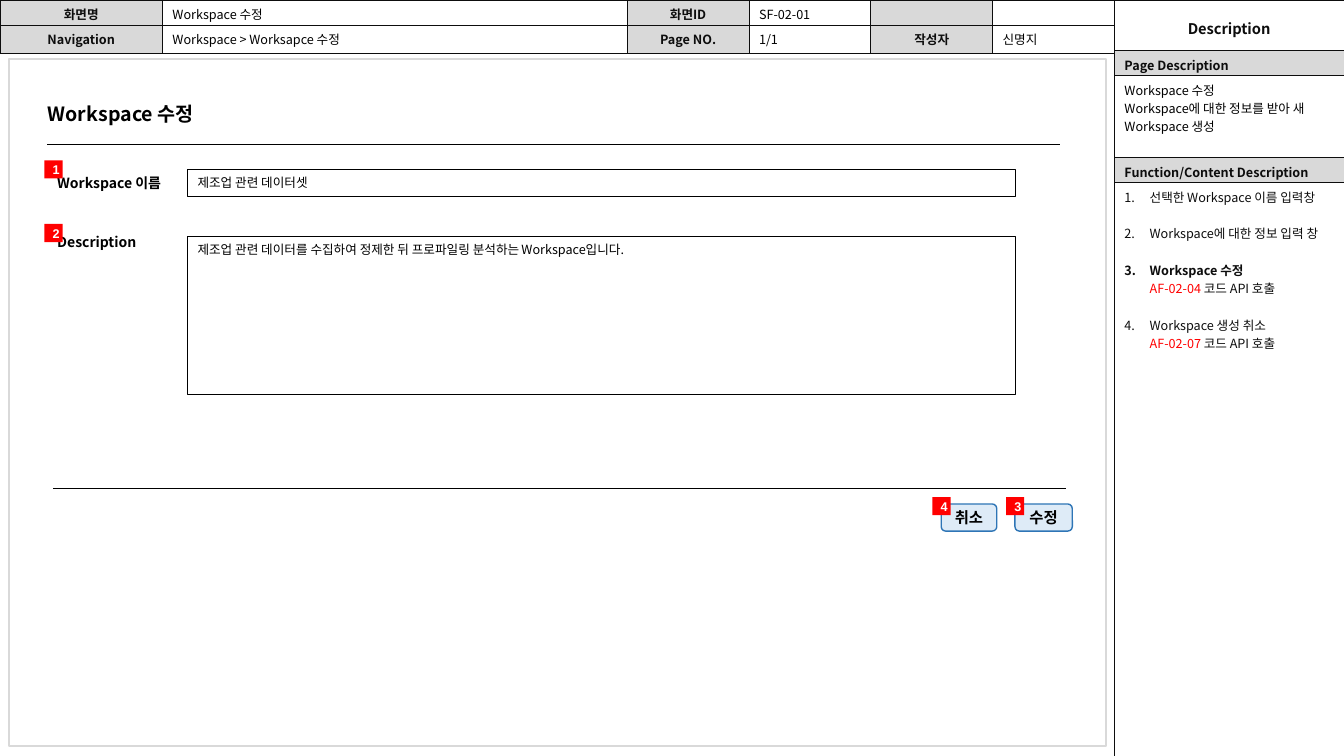
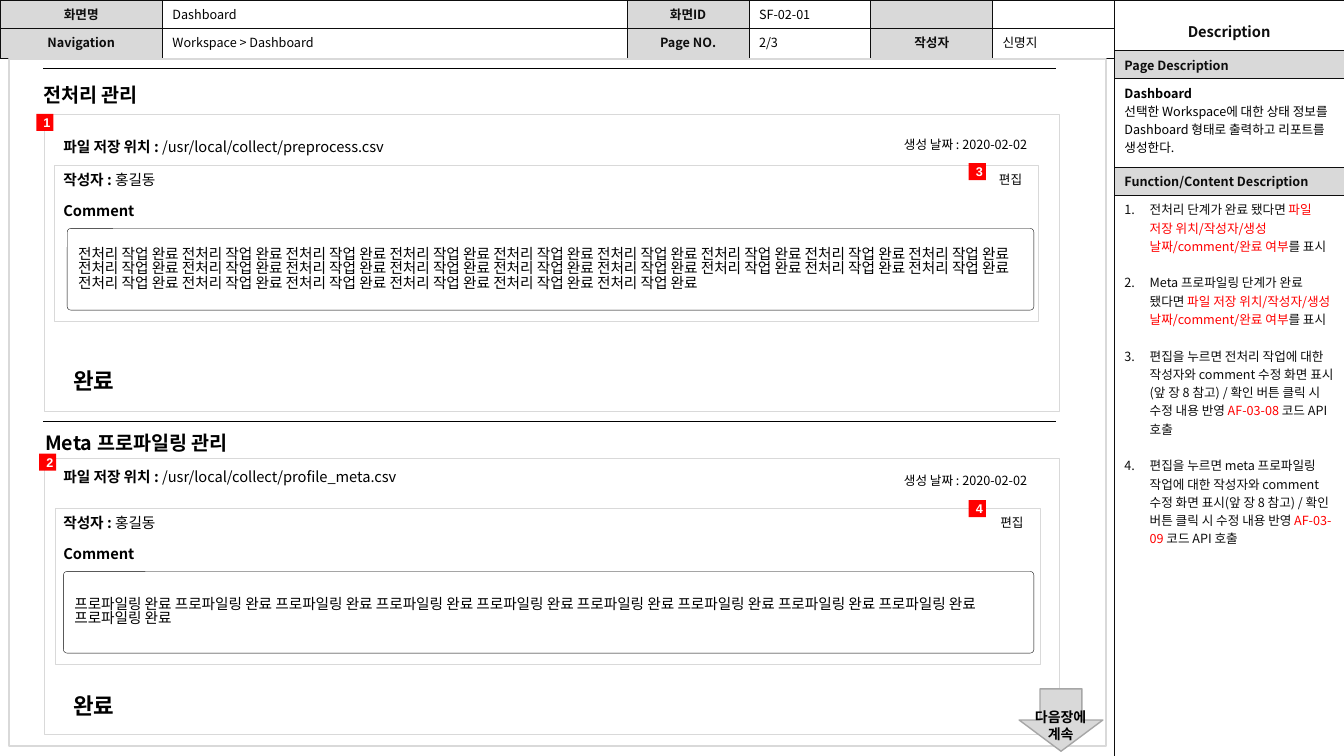
from lxml import etree
from pptx import Presentation
from pptx.dml.color import RGBColor
from pptx.enum import shapes, text
from pptx.oxml import ns
from pptx.util import Pt

FONT = "Noto Sans CJK KR"
BLACK = RGBColor(0x00, 0x00, 0x00)
INK = RGBColor(0x0D, 0x0D, 0x0D)
WHITE = RGBColor(0xFF, 0xFF, 0xFF)
GREY = RGBColor(0xD9, 0xD9, 0xD9)
EDGE = RGBColor(0xA6, 0xA6, 0xA6)
RED = RGBColor(0xFF, 0x00, 0x00)
PALE = RGBColor(0xDE, 0xEB, 0xF7)
BLUE = RGBColor(0x2E, 0x75, 0xB6)

KIND = shapes.MSO_SHAPE
CENTER = text.PP_ALIGN.CENTER
MIDDLE = text.MSO_ANCHOR.MIDDLE
WIDE, HIGH = 960, 540
COLS = [116, 332, 87, 87, 87, 87, 164]
SIDE, TOP = sum(COLS[:-1]), 36


def bold(words):
    return words, {"heavy": True}


def red(words):
    return words, {"ink": RED}


FIELDS = "파일 저장 위치/작성자/생성 날짜/comment/완료 여부"
CHECK = "수정 화면 표시(앞 장 8 참고) / 확인 버튼 클릭 시 수정 내용 반영 "

EDIT = {
    "name": "Workspace 수정",
    "nav": "Workspace > Worksapce 수정",
    "page": "1/1",
    "head": [18, 20],
    "side": [18, 58.5, 18],
    "about": [["Workspace 수정"],
              ["Workspace에 대한 정보를 받아 새 Workspace 생성"]],
    "notes": [
        ["선택한 Workspace 이름 입력창"],
        ["Workspace에 대한 정보 입력 창"],
        [bold("Workspace 수정\n"), red("AF-02-04 "), "코드 API 호출"],
        ["Workspace 생성 취소\n", red("AF-02-07"), " 코드 API 호출"],
    ],
}
# label, label top, value, box top, box height, anchor
INPUTS = [
    ("Workspace 이름", 121, "제조업 관련 데이터셋", 121, 19.4, MIDDLE),
    ("Description", 163.4,
     "제조업 관련 데이터를 수집하여 정제한 뒤 프로파일링 분석하는 Workspace입니다.",
     169, 113, text.MSO_ANCHOR.TOP),
]
BUTTONS = [("수정", 725, 41), ("취소", 672.3, 39.7)]
EDIT_TAGS = [(31.7, 114.5), (31.7, 160), (718.6, 355), (666, 355)]

BOARD = {
    "name": "Dashboard",
    "nav": "Workspace > Dashboard",
    "page": "2/3",
    "head": [20, 22],
    "side": [20, 63.5, 20],
    "about": [[bold("Dashboard")],
              ["선택한 Workspace에 대한 상태 정보를 Dashboard 형태로 "
               "출력하고 리포트를 생성한다."]],
    "notes": [
        ["전처리 단계가 완료 됐다면 ", red(FIELDS), "를 표시"],
        ["Meta 프로파일링 단계가 완료 됐다면 ", red(FIELDS), "를 표시"],
        ["편집을 누르면 전처리 작업에 대한 작성자와 comment " + CHECK,
         red("AF-03-08 "), "코드 API 호출"],
        ["편집을 누르면 meta 프로파일링 작업에 대한 작성자와 comment " + CHECK,
         red("AF-03-09 "), "코드 API 호출"],
    ],
}
PANELS = [
    {"title": "전처리 관리", "file": "preprocess.csv",
     "words": ["전처리 작업 완료"] * 24,
     "rule": 49, "left": 23.8, "head": 55.4, "outer": (81.4, 212),
     "path": 95, "date": 94.3, "inner": (38.5, 118),
     "box": (48, 690.5), "done": 258.8},
    {"title": "Meta 프로파일링 관리", "file": "profile_meta.csv",
     "words": ["프로파일링 완료"] * 10,
     "rule": 301, "left": 25.2, "head": 304.6, "outer": (327, 197.3),
     "path": 330.5, "date": 334, "inner": (39.5, 363),
     "box": (45.3, 693.2), "done": 491},
]
BOARD_TAGS = [(26, 81.4), (28, 324), (692, 116.6), (692, 357.2)]


def add(parent, tag, **attrs):
    return etree.SubElement(parent, ns.qn(tag), **attrs)


def write(frame, paras, size=9, heavy=False, ink=BLACK, align=None,
          font=FONT, gap=0, numbered=False, lead=None):
    """Fill a text frame; a paragraph is a list of strings or (string, style)."""
    for i, runs in enumerate(paras):
        para = frame.add_paragraph() if i else frame.paragraphs[0]
        para.alignment = align
        para.line_spacing = lead
        para.space_after = Pt(gap)
        if numbered:
            props = para._p.get_or_add_pPr()
            props.set("marL", str(Pt(18)))
            props.set("indent", str(-Pt(18)))
            add(props, "a:buFont", typeface=FONT)
            add(props, "a:buAutoNum", type="arabicPeriod")
        for item in runs:
            words, style = item if isinstance(item, tuple) else (item, {})
            run = para.add_run()
            run.text = words.rstrip("\n")
            run.font.size = Pt(size)
            run.font.bold = style.get("heavy", heavy)
            run.font.color.rgb = style.get("ink", ink)
            run.font.name = font
            add(run._r.get_or_add_rPr(), "a:ea", typeface=font)
            if words.endswith("\n"):
                para.add_line_break()
        if not runs:
            add(para._p, "a:endParaRPr", sz=str(size * 100))


def label(slide, spot, runs, size, **style):
    box = slide.shapes.add_textbox(*map(Pt, spot))
    box.text_frame.word_wrap = True
    write(box.text_frame, [runs], size, **style)


def block(slide, spot, kind=KIND.RECTANGLE, fill=None, line=None, width=1,
          words=None, anchor=MIDDLE, **style):
    shape = slide.shapes.add_shape(kind, *map(Pt, spot))
    shape.shadow.inherit = False
    if fill is None:
        shape.fill.background()
    else:
        shape.fill.solid()
        shape.fill.fore_color.rgb = fill
    if line is None:
        shape.line.fill.background()
    else:
        shape.line.color.rgb = line
        shape.line.width = Pt(width)
    if words:
        shape.text_frame.vertical_anchor = anchor
        write(shape.text_frame, [[words]], **style)
    return shape


def rule(slide, left, top):
    line = slide.shapes.add_connector(
        shapes.MSO_CONNECTOR.STRAIGHT, Pt(left), Pt(top), Pt(left + 723), Pt(top))
    line.line.color.rgb = BLACK
    line.line.width = Pt(0.5)
    add(line._element.spPr, "a:effectLst")


def tags(slide, spots, side):
    for i, (left, top) in enumerate(spots, 1):
        block(slide, (left, top, side, side), fill=RED, words=str(i),
              heavy=True, ink=WHITE, align=CENTER, font="Arial")


def grid(slide, left, top, cols, rows):
    spot = map(Pt, (left, top, sum(cols), sum(rows)))
    table = slide.shapes.add_table(len(rows), len(cols), *spot).table
    table.first_row = table.horz_banding = False
    for part, sizes in ((table.columns, cols), (table.rows, rows)):
        for item, size in zip(part, sizes):
            if part is table.columns:
                item.width = Pt(size)
            else:
                item.height = Pt(size)
    for col, size in zip(table.columns, cols):
        col.width = Pt(size)
    for row, size in zip(table.rows, rows):
        row.height = Pt(size)
    return table


def put(cell, paras, fill=WHITE, **style):
    cell.margin_left = cell.margin_right = Pt(7.2)
    cell.margin_top, cell.margin_bottom = Pt(3.6), Pt(1)
    props = cell._tc.get_or_add_tcPr()
    for edge in ("a:lnL", "a:lnR", "a:lnT", "a:lnB"):
        line = add(props, edge, w=str(Pt(0.5)))
        add(add(line, "a:solidFill"), "a:srgbClr", val=str(INK))
    cell.fill.solid()
    cell.fill.fore_color.rgb = fill
    write(cell.text_frame, paras, **style)


def base(deck, data):
    """Add a slide with the header table, the side table and the frame."""
    slide = deck.slides.add_slide(deck.slide_layouts[6])
    rows = [
        ["화면명", data["name"], "화면ID", "SF-02-01", "", ""],
        ["Navigation", data["nav"], "Page NO.", data["page"], "작성자", "신명지"],
    ]
    head = grid(slide, 0, 0, COLS, data["head"])
    for r, row in enumerate(rows):
        for c, words in enumerate(row):
            look = {} if c % 2 else dict(fill=GREY, heavy=True, ink=INK, align=CENTER)
            put(head.cell(r, c), [[words] if words else []], **look)
    put(head.cell(1, 6), [[]])
    head.cell(0, 6).merge(head.cell(1, 6))
    put(head.cell(0, 6), [["Description"]], size=10.5, heavy=True, ink=INK,
        align=CENTER)
    head.cell(0, 6).vertical_anchor = MIDDLE

    sizes = data["side"] + [HIGH - TOP - sum(data["side"])]
    side = grid(slide, SIDE, TOP, COLS[-1:], sizes)
    for r, words in ((0, "Page Description"), (2, "Function/Content Description")):
        put(side.cell(r, 0), [[words]], fill=GREY, heavy=True, ink=INK)
    put(side.cell(1, 0), data["about"])
    put(side.cell(3, 0), data["notes"], ink=INK, gap=13, numbered=True)
    block(slide, (6.5, 42, 783.4, 491), line=GREY)
    return slide


def edit(deck):
    slide = base(deck, EDIT)
    label(slide, (27, 69, 175, 24.5), [EDIT["name"]], 14, heavy=True)
    rule(slide, 33.8, 103)
    for name, top, value, y, high, anchor in INPUTS:
        label(slide, (33.8, top, 106.6, 19.4), [name], 10, heavy=True)
        block(slide, (134, y, 591, high), line=BLACK, width=0.5, words=value,
              anchor=anchor)
    rule(slide, 38.2, 348.5)
    for name, left, wide in BUTTONS:
        block(slide, (left, 360, wide, 19.4), KIND.ROUNDED_RECTANGLE, PALE, BLUE,
              words=name, size=11, heavy=True, align=CENTER)
    tags(slide, EDIT_TAGS, 13)


def panel(slide, data):
    x, y = data["inner"]
    top, high = data["outer"]
    rule(slide, 31, data["rule"])
    label(slide, (data["left"], data["head"], 175, 24.5), [data["title"]], 14,
          heavy=True)
    block(slide, (31.3, top, 725, high), line=GREY, width=0.25)
    label(slide, (38.2, data["path"], 298, 20),
          [bold("파일 저장 위치 : "), "/usr/local/collect/" + data["file"]], 10.5)
    label(slide, (638.6, data["date"], 134, 16.6), ["생성 날짜 : 2020-02-02"], 9)
    block(slide, (x, y, 703.4, 111.6), line=GREY, width=0.25)
    label(slide, (38.2, y + 0.5, 207, 20.5), [bold("작성자 : "), "홍길동"], 10.5)
    label(slide, (x + 668, y + 1.4, 36, 18), ["편집"], 9)
    label(slide, (38.2, y + 23, 652, 20), ["Comment"], 10.5, heavy=True)
    left, wide = data["box"]
    note = block(slide, (left, y + 45.2, wide, 58.3), KIND.ROUNDED_RECTANGLE, WHITE,
                 BLACK, 0.25, " ".join(data["words"]), size=10.5, lead=0.82)
    note.adjustments[0] = 0.044
    label(slide, (45.3, data["done"], 52.6, 25), ["완료"], 16, heavy=True)


def board(deck):
    slide = base(deck, BOARD)
    for data in PANELS:
        panel(slide, data)
    block(slide, (728, 492, 59.8, 44.6), KIND.DOWN_ARROW, GREY, EDGE)
    label(slide, (725.6, 502.5, 64, 31.7), ["다음장에 계속"], 10, heavy=True,
          align=CENTER)
    tags(slide, BOARD_TAGS, 12.2)


def main():
    deck = Presentation()
    deck.slide_width, deck.slide_height = Pt(WIDE), Pt(HIGH)
    edit(deck)
    board(deck)
    deck.save("out.pptx")


if __name__ == "__main__":
    main()
